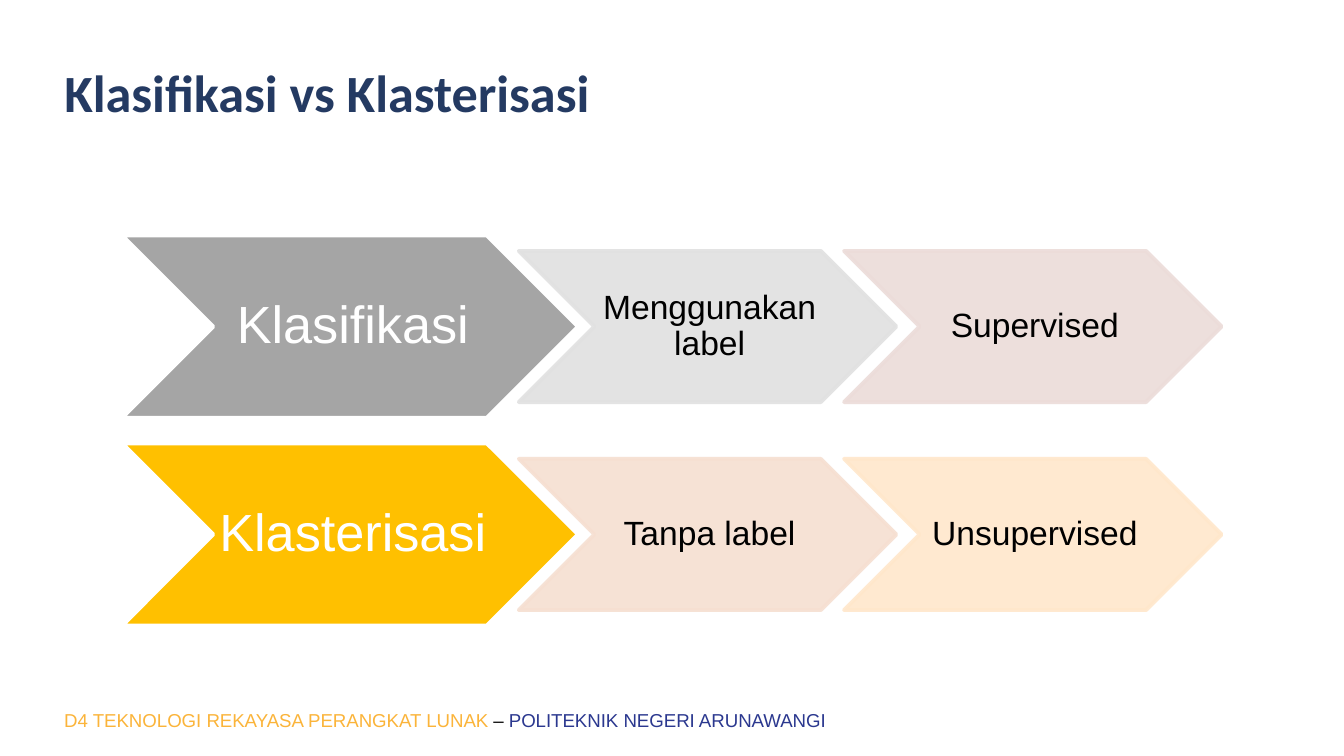
from dataclasses import dataclass

from lxml import etree
from pptx import Presentation
from pptx.dml.color import RGBColor
from pptx.enum.shapes import MSO_SHAPE
from pptx.enum.text import MSO_ANCHOR, PP_ALIGN
from pptx.oxml.ns import qn
from pptx.util import Inches, Pt

CHEVRON = MSO_SHAPE.CHEVRON
MIDDLE, TOP = MSO_ANCHOR.MIDDLE, MSO_ANCHOR.TOP
CENTER, LEFT = PP_ALIGN.CENTER, PP_ALIGN.LEFT

WIDTH = 10
HEIGHT = WIDTH * 9 / 16
COL, ROW = WIDTH / 100, HEIGHT / 100


@dataclass(frozen=True)
class Box:
    col: float
    row: float
    cols: float
    rows: float

    def inches(self) -> list:
        return [Inches(v) for v in (self.col * COL, self.row * ROW,
                                    self.cols * COL, self.rows * ROW)]


@dataclass(frozen=True)
class Run:
    text: str
    color: str
    size: float
    font: str = "Arial"
    bold: bool = False


@dataclass(frozen=True)
class Step:
    text: str
    fill: str


@dataclass(frozen=True)
class Level:
    col: float
    cols: float
    rows: float
    size: float
    color: str
    inset: float
    pad: float
    opacity: int


LEAD = Level(9.1, 33.9, 24.1, 28, "FFFFFF", 0.04, 0.02, 100)
DETAIL = Level(38.6, 28.1, 20, 18, "000000", 0.03, 0.01, 90)
DETAIL_PITCH = 24.2
FIRST_CENTER, CENTER_PITCH = 43.2, 27.5

CHAINS = [
    [Step("Klasifikasi", "A5A5A5"), Step("Menggunakan label", "E1E1E1"),
     Step("Supervised", "ECDCD9")],
    [Step("Klasterisasi", "FFC000"), Step("Tanpa label", "F6DFD1"),
     Step("Unsupervised", "FFE7CB")],
]


def rgb(color: str) -> RGBColor:
    return RGBColor.from_string(color)


def assign(target, values: dict) -> None:
    for name, value in values.items():
        setattr(target, name, value)


def write(sp, runs: list, frame: dict, para: dict) -> None:
    tf = sp.text_frame
    assign(tf, {"word_wrap": True, **frame})
    p = tf.paragraphs[0]
    assign(p, para)
    for run in runs:
        r = p.add_run()
        r.text = run.text
        assign(r.font, {"name": run.font, "size": Pt(run.size), "bold": run.bold})
        r.font.color.rgb = rgb(run.color)


def add_text(s, box: Box, runs: list, anchor, spacing: float) -> None:
    sp = s.shapes.add_textbox(*box.inches())
    write(sp, runs, {"vertical_anchor": anchor},
          {"alignment": LEFT, "line_spacing": spacing})


def set_opacity(sp, percent: int) -> None:
    for clr in sp._element.spPr.iter(qn("a:srgbClr")):
        etree.SubElement(clr, qn("a:alpha"), val=str(percent * 1000))


def add_chevron(s, step: Step, level: Level, shift: float, center: float) -> None:
    box = Box(level.col + shift, center - level.rows / 2, level.cols, level.rows)
    sp = s.shapes.add_shape(CHEVRON, *box.inches())
    sp.shadow.inherit = False
    sp.fill.solid()
    sp.fill.fore_color.rgb = rgb(step.fill)
    sp.line.color.rgb = rgb("FFFFFF" if level is LEAD else step.fill)
    sp.line.width = Pt(2)
    if level.opacity < 100:
        set_opacity(sp, level.opacity)
    frame = {"vertical_anchor": MIDDLE, "margin_left": Inches(level.inset),
             "margin_right": 0, "margin_top": Inches(level.pad),
             "margin_bottom": Inches(level.pad)}
    write(sp, [Run(step.text, level.color, level.size)], frame,
          {"alignment": CENTER, "line_spacing": 0.9})


def add_chain(s, chain: list, center: float) -> None:
    lead, *details = chain
    add_chevron(s, lead, LEAD, 0, center)
    for i, step in enumerate(details):
        add_chevron(s, step, DETAIL, i * DETAIL_PITCH, center)


def main() -> None:
    prs = Presentation()
    assign(prs, {"slide_width": Inches(WIDTH), "slide_height": Inches(HEIGHT)})
    s = prs.slides.add_slide(prs.slide_layouts[6])
    add_text(s, Box(3.8, 92.9, 77.7, 4.8), [
        Run("D4 TEKNOLOGI REKAYASA PERANGKAT LUNAK ", "FBB43A", 10),
        Run("– ", "000000", 10),
        Run("POLITEKNIK NEGERI ARUNAWANGI", "2B388F", 10),
    ], TOP, 1.0)
    add_text(s, Box(3.8, 5.3, 72.8, 14.6), [
        Run("Klasifikasi vs Klasterisasi", "243A62", 28, "Calibri", True),
    ], MIDDLE, 0.9)
    for i, chain in enumerate(CHAINS):
        add_chain(s, chain, FIRST_CENTER + i * CENTER_PITCH)
    prs.save("out.pptx")


if __name__ == "__main__":
    main()
